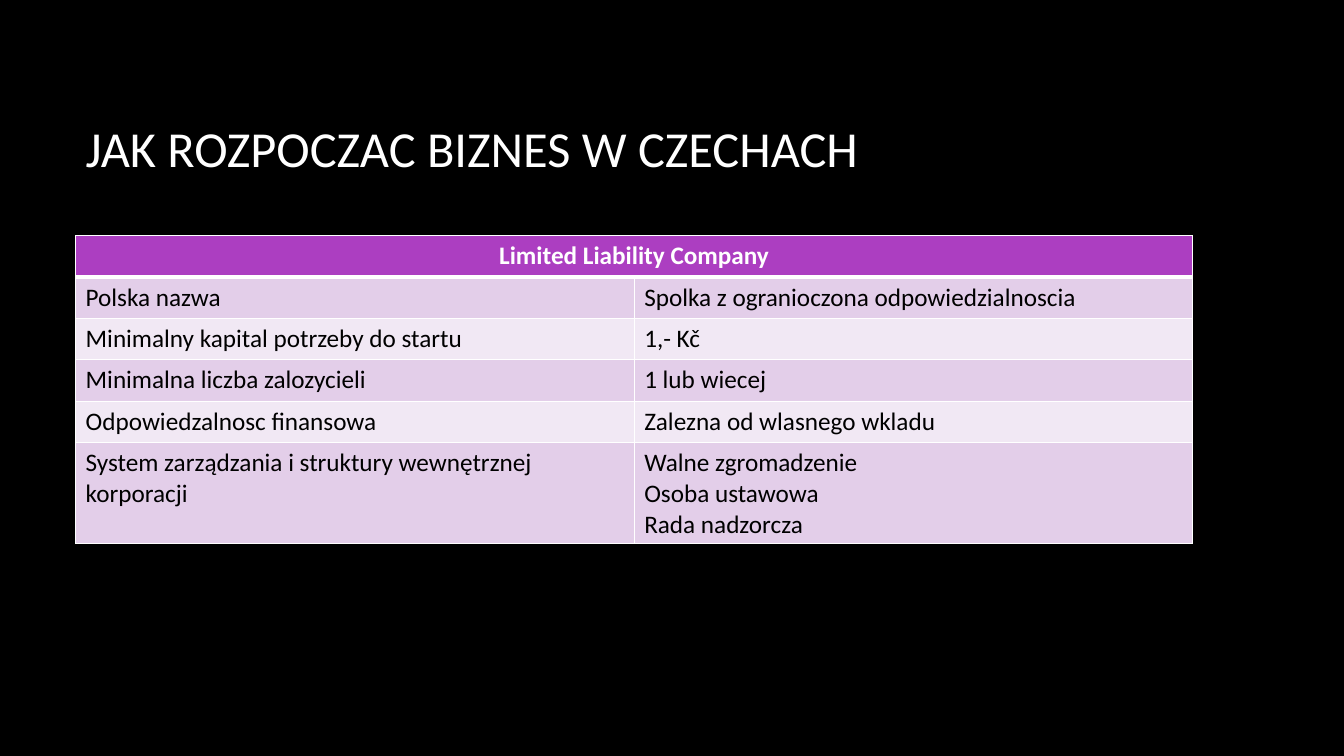
import dataclasses

import lxml.etree
import pptx
import pptx.dml.color
import pptx.enum.text
import pptx.oxml.ns
import pptx.util

Inches = pptx.util.Inches
Pt = pptx.util.Pt


@dataclasses.dataclass(frozen=True)
class Theme:
    font: str = "Calibri"
    title_size: int = 36
    table_size: int = 18
    background: str = "000000"
    light: str = "FFFFFF"
    dark: str = "000000"
    header: str = "AC3EC1"
    bands: tuple = ("F1E8F4", "E3CEE9")


theme = Theme()


def style_text(frame, size, color, bold=False):
    for paragraph in frame.paragraphs:
        for run in paragraph.runs:
            run.font.name = theme.font
            run.font.size = Pt(size)
            run.font.bold = bold
            run.font.color.rgb = pptx.dml.color.RGBColor.from_string(color)


def add_borders(cell, widths):
    """Draw light cell borders; widths maps L, R, T and B to points."""
    properties = cell._tc.get_or_add_tcPr()
    for side, width in widths.items():
        line = lxml.etree.SubElement(
            properties, pptx.oxml.ns.qn(f"a:ln{side}"), w=str(Pt(width)))
        fill = lxml.etree.SubElement(line, pptx.oxml.ns.qn("a:solidFill"))
        lxml.etree.SubElement(fill, pptx.oxml.ns.qn("a:srgbClr"), val=theme.light)


presentation = pptx.Presentation()
presentation.slide_width = Inches(13.33)
presentation.slide_height = Inches(7.5)
slide = presentation.slides.add_slide(presentation.slide_layouts[6])
slide.background.fill.solid()
slide.background.fill.fore_color.rgb = pptx.dml.color.RGBColor.from_string(theme.background)

left, width = Inches(0.75), Inches(11.08)

title = slide.shapes.add_textbox(left, Inches(0.67), width, Inches(1.59)).text_frame
title.word_wrap = True
title.vertical_anchor = pptx.enum.text.MSO_ANCHOR.MIDDLE
title.text = "JAK ROZPOCZAC BIZNES W CZECHACH"
style_text(title, theme.title_size, theme.light)

company_facts = [
    ("Limited Liability Company", ""),
    ("Polska nazwa", "Spolka z ogranioczona odpowiedzialnoscia"),
    ("Minimalny kapital potrzeby do startu", "1,- Kč"),
    ("Minimalna liczba zalozycieli", "1 lub wiecej"),
    ("Odpowiedzalnosc finansowa", "Zalezna od wlasnego wkladu"),
    ("System zarządzania i struktury wewnętrznej korporacji",
     "Walne zgromadzenie\nOsoba ustawowa\nRada nadzorcza"),
]
company_table = slide.shapes.add_table(
    len(company_facts), 2, left, Inches(2.34), width, Inches(3.03)).table
for row in company_table.rows:
    row.height = Inches(0.41)
company_table.rows[len(company_facts) - 1].height = Inches(1)
company_table.cell(0, 0).merge(company_table.cell(0, 1))

for row_index, facts in enumerate(company_facts):
    is_header = row_index == 0
    for column_index, fact in enumerate(facts):
        cell = company_table.cell(row_index, column_index)
        add_borders(cell, {"L": 1, "R": 1,
                           "T": 3 if row_index == 1 else 1,
                           "B": 3 if is_header else 1})
        cell.fill.solid()
        cell.fill.fore_color.rgb = pptx.dml.color.RGBColor.from_string(
            theme.header if is_header else theme.bands[row_index % 2])
        if fact:
            cell.text_frame.text = fact
            style_text(cell.text_frame, theme.table_size,
                       theme.light if is_header else theme.dark, bold=is_header)

company_table.cell(0, 0).text_frame.paragraphs[0].alignment = pptx.enum.text.PP_ALIGN.CENTER

presentation.save("out.pptx")
